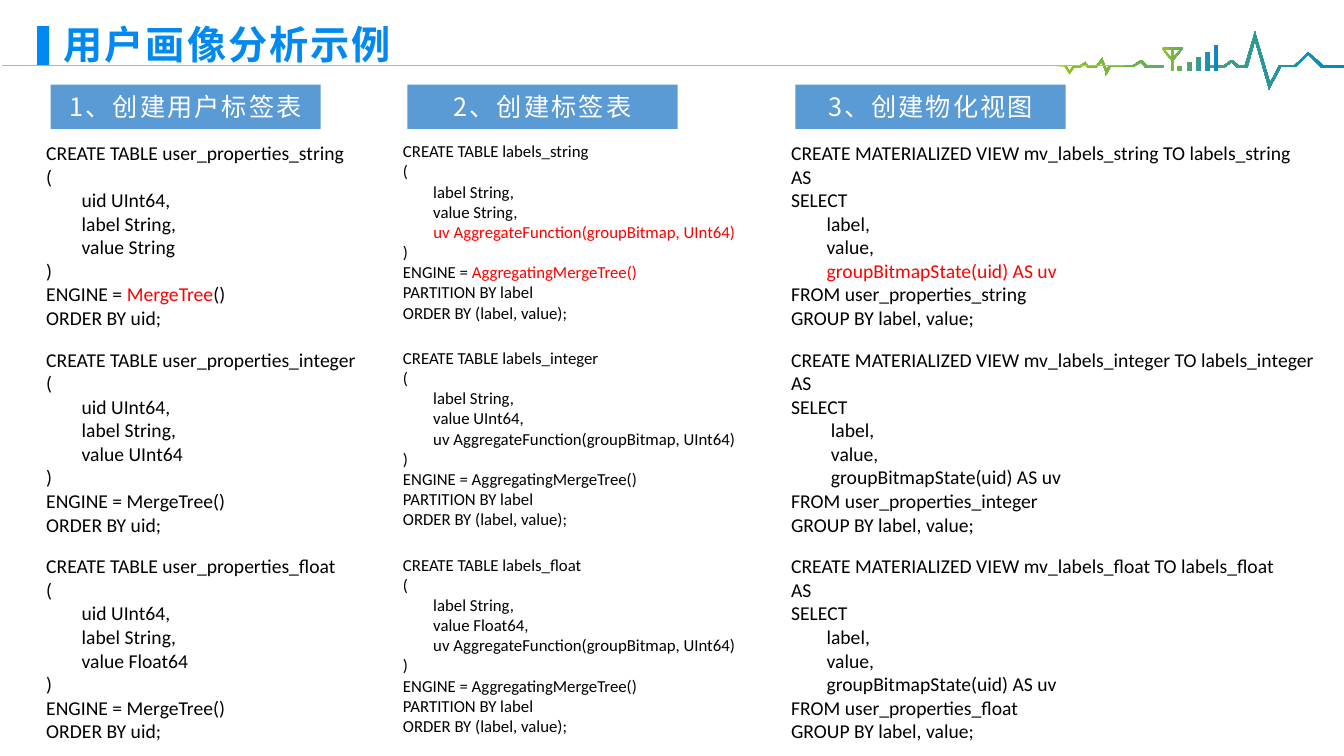
from lxml import etree
from pptx import Presentation
from pptx.dml.color import RGBColor
from pptx.enum.shapes import MSO_CONNECTOR, MSO_SHAPE
from pptx.enum.text import MSO_ANCHOR, MSO_AUTO_SIZE, PP_ALIGN
from pptx.oxml.ns import qn
from pptx.util import Pt

RECTANGLE = MSO_SHAPE.RECTANGLE
STRAIGHT = MSO_CONNECTOR.STRAIGHT
MIDDLE = MSO_ANCHOR.MIDDLE
LEFT, CENTER = PP_ALIGN.LEFT, PP_ALIGN.CENTER
NO_FIT = MSO_AUTO_SIZE.NONE

BLUE = RGBColor(0x00, 0x89, 0xF0)
HEADING_BLUE = RGBColor(0x5B, 0x9B, 0xD5)
RULE_GRAY = RGBColor(0xB2, 0xB2, 0xB2)
PULSE_GREEN = RGBColor(0x94, 0xC1, 0x23)
PULSE_BLUE = RGBColor(0x00, 0x87, 0xCF)
WHITE = RGBColor(0xFF, 0xFF, 0xFF)
BLACK = RGBColor(0x00, 0x00, 0x00)
RED = RGBColor(0xFF, 0x00, 0x00)

CODE_FONT = "Calibri"
CJK_FONT = "Noto Sans CJK SC"
HUNDREDTH_INCH = Pt(0.72)
FIRST_ROW, ROW_STEP = 97.2, 147.6

VARIANTS = [("string", "String", 8), ("integer", "UInt64", 9), ("float", "Float64", 8)]

USER_TABLE = """CREATE TABLE user_properties_{name}
(
        uid UInt64,
        label String,
        value {type}
)
ENGINE = MergeTree()
ORDER BY uid;"""

LABEL_TABLE = """CREATE TABLE labels_{name}
(
        label String,
        value {type},
        uv AggregateFunction(groupBitmap, UInt64)
)
ENGINE = AggregatingMergeTree()
PARTITION BY label
ORDER BY (label, value);"""

VIEW = """CREATE MATERIALIZED VIEW mv_labels_{name} TO labels_{name} AS
SELECT
{indent}label,
{indent}value,
{indent}groupBitmapState(uid) AS uv
FROM user_properties_{name}
GROUP BY label, value;"""

COLUMNS = [
    ("1、创建用户标签表", 25.9, (242, 242, 242), 14, USER_TABLE, ["MergeTree"]),
    ("2、创建标签表", 280.8, (304, 304, 304), 12, LABEL_TABLE,
     ["uv AggregateFunction(groupBitmap, UInt64)", "AggregatingMergeTree()"]),
    ("3、创建物化视图", 558, (373.7, 388.8, 373.7), 14, VIEW,
     ["groupBitmapState(uid) AS uv"]),
]

RIGHT_PULSE = [
    (1313, 65), (1299, 53), (1298, 52), (1297, 53), (1284, 65), (1269, 65),
    (1260, 82), (1246, 35), (1245, 31), (1244, 35), (1235, 65), (1229, 65),
    (1223, 60), (1221, 60), (1214, 65), (1201, 65), (1201, 67), (1215, 67),
    (1216, 66), (1222, 62), (1227, 67), (1237, 67), (1238, 66), (1245, 40),
    (1258, 85), (1259, 89), (1261, 85), (1271, 66), (1286, 66), (1298, 54),
    (1311, 67), (1333, 67), (1333, 65)]
LEFT_PULSE = [
    (1133, 60), (1131, 60), (1124, 65), (1100, 65), (1098, 69), (1094, 59),
    (1094, 57), (1092, 59), (1087, 66), (1081, 66), (1077, 62), (1077, 61),
    (1076, 62), (1071, 65), (1064, 65), (1064, 66), (1061, 70), (1058, 65),
    (1049, 65), (1049, 66), (1056, 66), (1060, 72), (1061, 74), (1062, 72),
    (1066, 67), (1072, 67), (1076, 64), (1079, 67), (1088, 67), (1093, 62),
    (1097, 72), (1097, 75), (1099, 72), (1102, 66), (1125, 66), (1132, 62),
    (1136, 67), (1154, 67), (1154, 65), (1138, 65)]
ANTENNA = [
    [(1164, 49), (1164, 57), (1171, 49)],
    [(1155, 49), (1162, 57), (1162, 49)],
    [(1153, 47), (1173, 47), (1173, 49), (1164, 60), (1164, 70), (1162, 70),
     (1162, 60), (1153, 49)],
]
SIGNAL_BARS = [(1168, 66), (1178, 62), (1187, 57), (1196, 52), (1205, 45)]


def add_run(paragraph, text, size, color, font):
    """Append one formatted run and return it."""
    run = paragraph.add_run()
    run.text = text
    run.font.size = Pt(size)
    run.font.color.rgb = color
    run.font.name = font
    return run


def add_cjk_run(paragraph, text, size, color):
    """Append a letter-spaced run in the Chinese font and return it."""
    run = add_run(paragraph, text, size, color, CJK_FONT)
    properties = run.font._element
    properties.set("spc", "150")
    etree.SubElement(properties, qn("a:ea")).set("typeface", CJK_FONT)
    return run


def add_block(slide, left, top, width, height, color):
    """Draw a plain filled rectangle."""
    block = slide.shapes.add_shape(RECTANGLE, Pt(left), Pt(top), Pt(width), Pt(height))
    block.shadow.inherit = False
    block.fill.solid()
    block.fill.fore_color.rgb = color
    block.line.fill.background()
    return block


def add_heading(slide, text, left):
    """Draw the heading bar of a column."""
    frame = add_block(slide, left, 60.5, 193, 31.7, HEADING_BLUE).text_frame
    frame.vertical_anchor = MIDDLE
    frame.paragraphs[0].alignment = CENTER
    add_cjk_run(frame.paragraphs[0], text, 18, WHITE)


def split_by_marks(line, marks):
    """Return the pieces of a line, each with its colour."""
    for mark in marks:
        before, found, after = line.partition(mark)
        if found:
            pieces = [(before, BLACK), (found, RED), (after, BLACK)]
            return [piece for piece in pieces if piece[0]]
    return [(line, BLACK)]


def add_code(slide, code, left, top, width, size, marks):
    """Place a statement, with the marked phrases in red."""
    height = 142.6 if size == 14 else 138.2
    frame = slide.shapes.add_textbox(Pt(left), Pt(top), Pt(width), Pt(height)).text_frame
    frame.word_wrap = True
    for index, line in enumerate(code.split("\n")):
        paragraph = frame.add_paragraph() if index else frame.paragraphs[0]
        for text, color in split_by_marks(line, marks):
            add_run(paragraph, text, size, color, CODE_FONT)


def add_column(slide, heading, left, widths, size, template, marks):
    """Build a column: its heading and one statement per value type."""
    add_heading(slide, heading, left + 10.2)
    for row, (name, value_type, indent) in enumerate(VARIANTS):
        code = template.format(name=name, type=value_type, indent=" " * indent)
        add_code(slide, code, left, FIRST_ROW + row * ROW_STEP, widths[row], size,
                 [] if row else marks)


def add_gradient_outline(slide, contours):
    """Draw closed contours as one shape with a green to blue fill."""
    builder = slide.shapes.build_freeform(*contours[0][0], scale=HUNDREDTH_INCH)
    builder.add_line_segments(contours[0][1:])
    for contour in contours[1:]:
        builder.move_to(*contour[0])
        builder.add_line_segments(contour[1:])
    outline = builder.convert_to_shape()
    outline.shadow.inherit = False
    outline.line.fill.background()
    outline.fill.gradient()
    outline.fill.gradient_angle = 0
    for stop, color, position in zip(outline.fill.gradient_stops,
                                     (PULSE_GREEN, PULSE_BLUE), (0, 1)):
        stop.color.rgb = color
        stop.position = position


def add_title_rule(slide):
    """Draw the thin line below the title."""
    rule = slide.shapes.add_connector(STRAIGHT, Pt(1.4), Pt(46.9), Pt(803), Pt(46.9))
    rule.line.color.rgb = RULE_GRAY
    rule.line.width = Pt(1)
    etree.SubElement(rule._element.spPr, qn("a:effectLst"))


def set_title(slide, text):
    """Place and format the title."""
    title = slide.shapes.title
    title.left, title.top, title.width, title.height = Pt(40.3), Pt(15.1), Pt(620.6), Pt(36)
    frame = title.text_frame
    frame.auto_size = NO_FIT
    frame.vertical_anchor = MIDDLE
    frame.margin_left = frame.margin_right = Pt(5)
    frame.margin_top = frame.margin_bottom = Pt(2.9)
    paragraph = frame.paragraphs[0]
    paragraph.alignment = LEFT
    paragraph.line_spacing = 0.9
    add_cjk_run(paragraph, text, 28, BLUE).font.bold = True


def main():
    """Build the slide and save it."""
    deck = Presentation()
    deck.slide_width, deck.slide_height = Pt(960), Pt(540)
    slide = deck.slides.add_slide(deck.slide_layouts[5])
    add_block(slide, 26.6, 18.7, 8.6, 28.1, BLUE)
    add_gradient_outline(slide, [RIGHT_PULSE, LEFT_PULSE])
    bars = [[(x, top), (x + 4, top), (x + 4, 70), (x, 70)] for x, top in SIGNAL_BARS]
    add_gradient_outline(slide, ANTENNA + bars)
    add_title_rule(slide)
    set_title(slide, "用户画像分析示例")
    for column in COLUMNS:
        add_column(slide, *column)
    deck.save("out.pptx")


if __name__ == "__main__":
    main()
